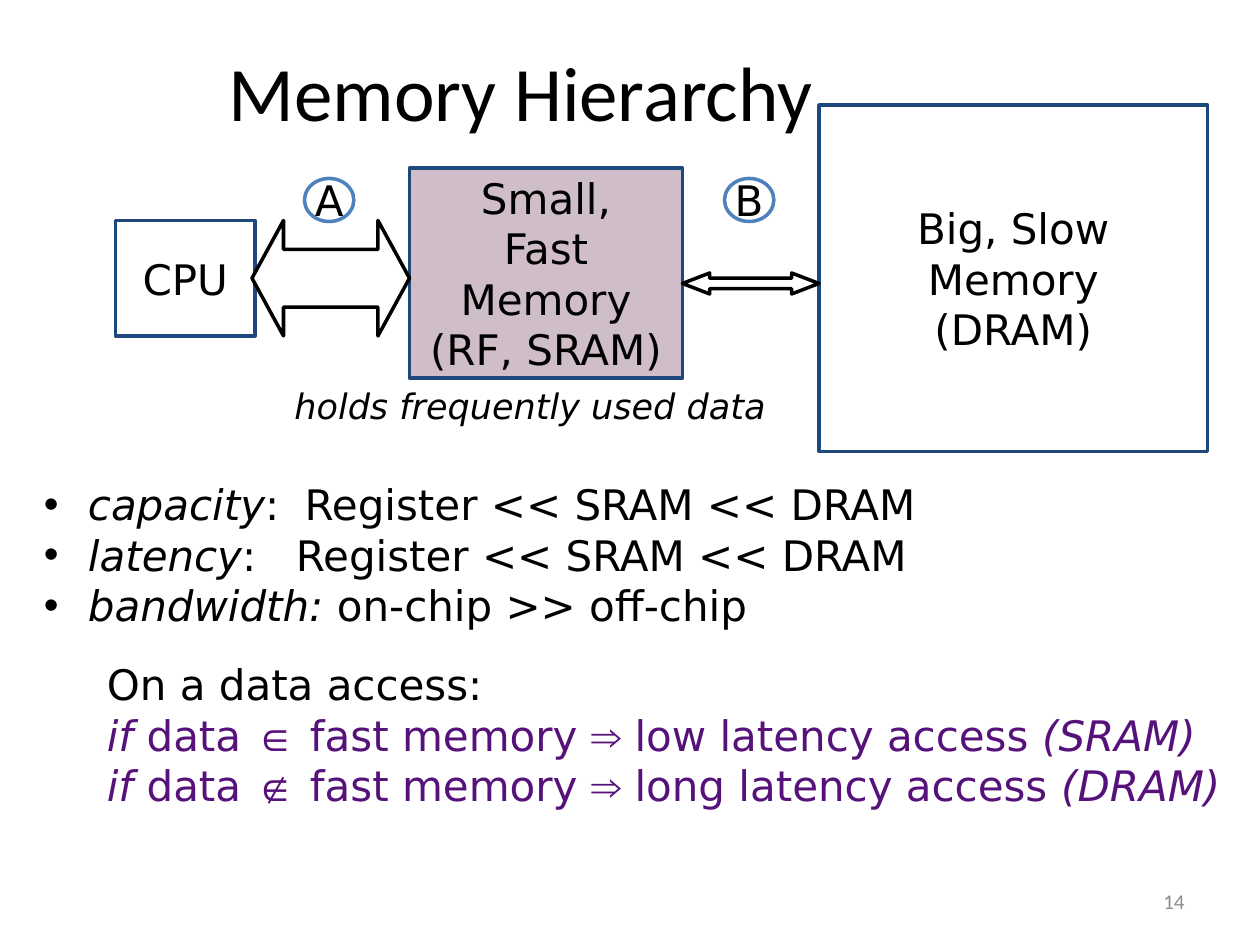
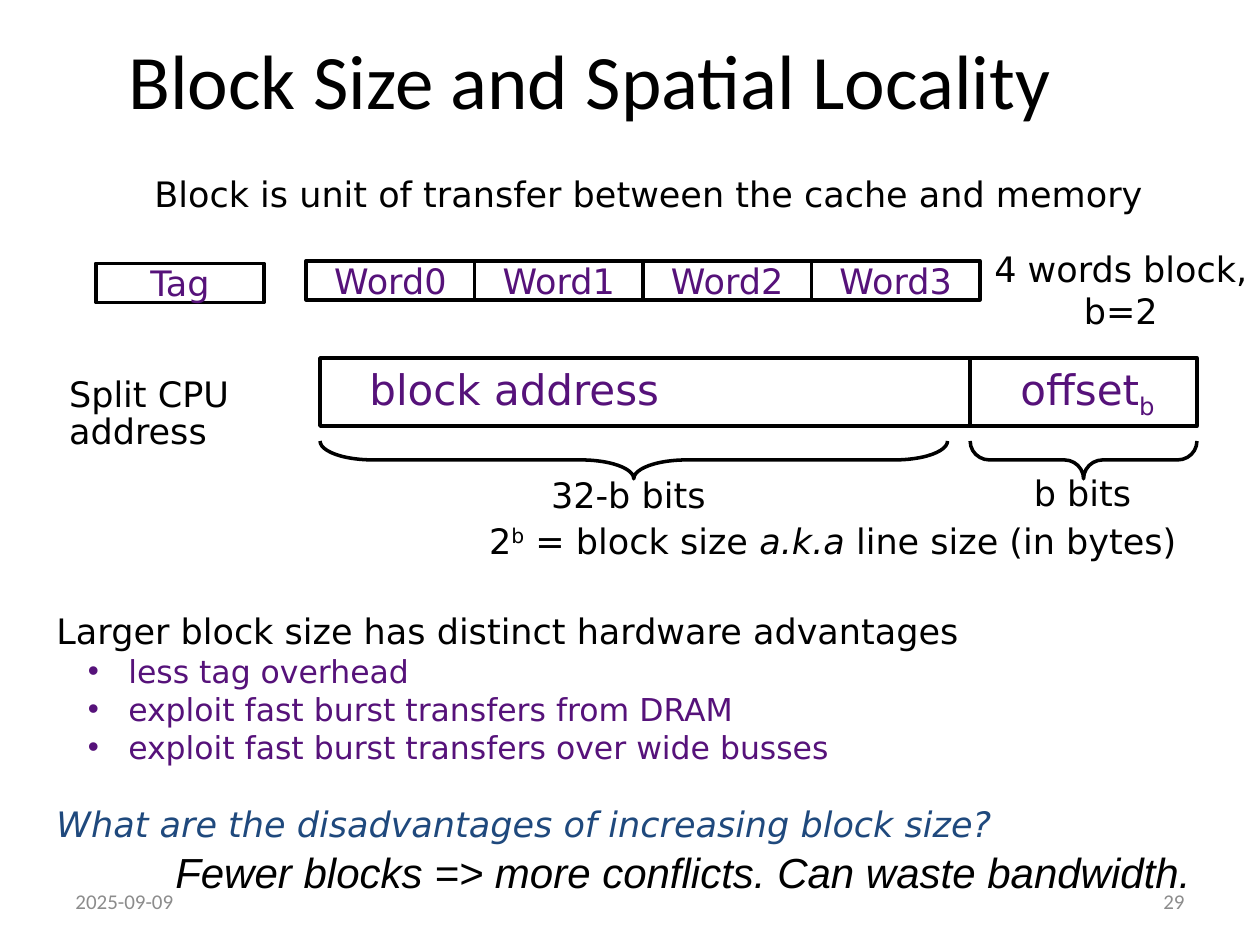
from lxml import etree
from pptx import Presentation
from pptx.dml.color import RGBColor
from pptx.enum import shapes, text
from pptx.oxml import ns
from pptx.util import Inches, Pt

COLORS = {
    "black": "000000", "white": "FFFFFF", "navy": "1F497D", "blue": "4F81BD",
    "purple": "56127A", "mauve": "CFBDC8", "gray": "8C8C8C",
}
SHAPE = shapes.MSO_SHAPE
ALIGN = text.PP_ALIGN
ANCHOR = text.MSO_ANCHOR
SLIDE_WIDTH, SLIDE_HEIGHT = 10, 7.5
COLUMNS = 120
CELL = SLIDE_WIDTH / COLUMNS

TITLE = {"size": 44, "name": "Calibri"}
FOOTER = {"size": 12, "name": "Calibri", "color": "gray"}
LARGE = {"size": 24, "name": "DejaVu Sans"}
MEDIUM = {"size": 20, "name": "DejaVu Sans"}
ITALIC = {"italic": True}
MATH = {"name": "Arial"}
PURPLE = {"color": "purple"}
LARGE_BULLET = {"bullet": (4.2, -4.2)}
SMALL_BULLET = {"bullet": (6.84, -3.84)}
INDENT = {"margin": 6}

FOOTER_AT = {"date": (6, 83.4, 28, 4.8), "number": (86, 83.4, 28, 4.8)}

MEMORY_BOXES = [
    ((39, 16, 26, 20), ["Small,", "Fast Memory", "(RF, SRAM)"], "mauve"),
    ((11, 21, 13.3, 11), ["CPU"], "white"),
    ((78, 10, 37, 33), ["Big, Slow Memory", "(DRAM)"], "white"),
]
LINK_LABELS = [("A", 29), ("B", 69)]
LINK_ARROWS = [((65, 26, 13, 2), (0.5, 1.3)), ((24, 21, 15, 11), (0.5, 0.273))]


def access_rule(symbol, latency, memory):
    return [("if ", ITALIC), "data ", (symbol, MATH), " fast memory ",
            ("⇒", MATH), f" {latency} latency access ", (f"({memory})", ITALIC)]


MEMORY_NOTES = [
    ([("capacity", ITALIC), ":\tRegister << SRAM << DRAM"], {**LARGE_BULLET, "tab": 24.84}),
    ([("latency", ITALIC), ":\tRegister << SRAM << DRAM"], {**LARGE_BULLET, "tab": 24}),
    ([("bandwidth: ", ITALIC), "on-chip >> off-chip"], LARGE_BULLET),
    (["On a data access:"], {**INDENT, "space_before": 16.5}),
    (access_rule("∈", "low", "SRAM"), {**INDENT, "font": PURPLE}),
    (access_rule("∉", "long", "DRAM"), {**INDENT, "font": PURPLE}),
]

WORDS = ["Word0", "Word1", "Word2", "Word3"]
WORD_WIDTH, WORD_HEIGHT = 16.04, 3.72
WORDS_LEFT, WORDS_TOP = 29.16, 24.84
TAG_AT = (9.12, 25.08, WORD_WIDTH, WORD_HEIGHT)
ADDRESS_LEFT, ADDRESS_SPLIT, ADDRESS_RIGHT = 30.48, 92.4, 114
ADDRESS_TOP, ADDRESS_HEIGHT = 34.1, 6.48
ADDRESS_TEXTS = [
    ((34, 34, 40, 6), ["block address"]),
    ((96, 34, 17, 6), ["offset", ("b", {"baseline": -25})]),
]
BRACE_TOP, BRACE_DEPTH = 42, 3.6
BRACES = [
    (ADDRESS_SPLIT, ADDRESS_RIGHT, (0.507, 0.5)),
    (ADDRESS_LEFT, 90.24, (1.399, 0.5)),
]
CENTERED_NOTES = [
    ((5.5, 15.84, 112.6, 5.3), "Block is unit of transfer between the cache and memory", True),
    ((93.5, 23, 26.5, 9.4), "4 words block, b=2", True),
    ((97.2, 44.3, 11.8, 5.3), "b bits", False),
    ((51.1, 44.5, 17.5, 5.3), "32-b bits", False),
]
BLOCK_SIZE = ["2", ("b", {"baseline": 30}), " = block size ",
              ("a.k.a", ITALIC), " line size (in bytes)"]
ADVANTAGES = ["less tag overhead", "exploit fast burst transfers from DRAM",
              "exploit fast burst transfers over wide busses"]
BLOCK_NOTES = [
    (["Larger block size has distinct hardware advantages"], {}),
    *[([item], {**SMALL_BULLET, "font": {"size": 18, **PURPLE}}) for item in ADVANTAGES],
    (["What are the disadvantages of increasing block size?"],
     {"space_before": 21, "font": {"color": "navy", **ITALIC}}),
]


def cells(*lengths):
    return [Inches(length * CELL) for length in lengths]


def rgb(name):
    return RGBColor.from_string(COLORS[name])


def format_font(font, style):
    values = {"color": "black", **style}
    font.color.rgb = rgb(values.pop("color"))
    font.size = Pt(values.pop("size"))
    for name, value in values.items():
        setattr(font, name, value)


def add_run(paragraph, content, style):
    words, own = content if isinstance(content, tuple) else (content, {})
    values = {**style, **own}
    baseline = values.pop("baseline", None)
    run = paragraph.add_run()
    run.text = words
    format_font(run.font, values)
    if baseline:
        run.font._element.set("baseline", str(baseline * 1000))


def format_paragraph(paragraph, layout):
    properties = paragraph._p.get_or_add_pPr()
    margin, indent = layout.get("bullet", (layout.get("margin", 0), 0))
    for name, value in zip(("marL", "indent"), cells(margin, indent)):
        properties.set(name, str(value))
    if "bullet" in layout:
        etree.SubElement(properties, ns.qn("a:buFont")).set("typeface", "Arial")
        etree.SubElement(properties, ns.qn("a:buChar")).set("char", "•")
    if "tab" in layout:
        tabs = etree.SubElement(properties, ns.qn("a:tabLst"))
        tab = etree.SubElement(tabs, ns.qn("a:tab"))
        tab.set("pos", str(cells(layout["tab"])[0]))
        tab.set("algn", "l")
    if "space_before" in layout:
        paragraph.space_before = Pt(layout["space_before"])


def write(shape, paragraphs, style, align=ALIGN.LEFT, anchor=ANCHOR.TOP,
          wrap=True, line_spacing=None):
    frame = shape.text_frame
    frame.word_wrap = wrap
    frame.vertical_anchor = anchor
    for index, (runs, layout) in enumerate(paragraphs):
        paragraph = frame.paragraphs[0] if index == 0 else frame.add_paragraph()
        format_paragraph(paragraph, layout)
        paragraph.alignment = align
        if line_spacing:
            paragraph.line_spacing = line_spacing
        for content in runs:
            add_run(paragraph, content, {**style, **layout.get("font", {})})


def add_text(slide, at, paragraphs, style, **options):
    box = slide.shapes.add_textbox(*cells(*at))
    write(box, paragraphs, style, **options)


def add_label(slide, at, words, style, **options):
    add_text(slide, at, [([words], {})], style, **options)


def add_figure(slide, kind, at, fill="white", line="black", adjustments=()):
    shape = slide.shapes.add_shape(kind, *cells(*at))
    shape.shadow.inherit = False
    if fill:
        shape.fill.solid()
        shape.fill.fore_color.rgb = rgb(fill)
    else:
        shape.fill.background()
    if line:
        shape.line.color.rgb = rgb(line)
        shape.line.width = Pt(2)
    else:
        shape.line.fill.background()
    for index, value in enumerate(adjustments):
        shape.adjustments[index] = value
    return shape


def add_box(slide, at, lines, style, kind=SHAPE.RECTANGLE, wrap=False, **look):
    shape = add_figure(slide, kind, at, **look)
    write(shape, [([line], {}) for line in lines], style,
          align=ALIGN.CENTER, anchor=ANCHOR.MIDDLE, wrap=wrap)


def start_slide(presentation, title, title_at, number, date=None):
    slide = presentation.slides.add_slide(presentation.slide_layouts[6])
    if date:
        add_label(slide, FOOTER_AT["date"], date, FOOTER, anchor=ANCHOR.MIDDLE)
    add_label(slide, FOOTER_AT["number"], number, FOOTER,
              align=ALIGN.RIGHT, anchor=ANCHOR.MIDDLE)
    add_label(slide, title_at, title, TITLE, align=ALIGN.CENTER, anchor=ANCHOR.MIDDLE)
    return slide


def build_memory_hierarchy(presentation):
    slide = start_slide(presentation, "Memory Hierarchy", (2.6, 2.6, 94, 12), "14")
    add_text(slide, (3, 45, 115, 33), MEMORY_NOTES, LARGE)
    for at, lines, fill in MEMORY_BOXES:
        add_box(slide, at, lines, LARGE, wrap=len(lines) > 1, fill=fill, line="navy")
    for letter, left in LINK_LABELS:
        add_box(slide, (left, 17, 4.7, 4.1), [letter], LARGE, kind=SHAPE.OVAL, line="blue")
    add_label(slide, (23, 36, 55, 5.2), "holds frequently used data",
              {**MEDIUM, **ITALIC}, align=ALIGN.CENTER)
    for at, adjustments in LINK_ARROWS:
        add_figure(slide, SHAPE.LEFT_RIGHT_ARROW, at, adjustments=adjustments)


def add_address(slide):
    width = ADDRESS_RIGHT - ADDRESS_LEFT
    add_figure(slide, SHAPE.RECTANGLE, (ADDRESS_LEFT, ADDRESS_TOP, width, ADDRESS_HEIGHT))
    divider = slide.shapes.add_connector(
        shapes.MSO_CONNECTOR.STRAIGHT,
        *cells(ADDRESS_SPLIT, ADDRESS_TOP, ADDRESS_SPLIT, ADDRESS_TOP + ADDRESS_HEIGHT))
    divider.line.color.rgb = rgb("black")
    divider.line.width = Pt(2)
    etree.SubElement(divider._element.spPr, ns.qn("a:effectLst"))
    for at, runs in ADDRESS_TEXTS:
        add_text(slide, at, [(runs, {})], {**LARGE, **PURPLE})
    for left, right, adjustments in BRACES:
        span = right - left
        at = ((left + right - BRACE_DEPTH) / 2, BRACE_TOP + (BRACE_DEPTH - span) / 2,
              BRACE_DEPTH, span)
        brace = add_figure(slide, SHAPE.LEFT_BRACE, at, fill=None, adjustments=adjustments)
        brace.rotation = 270


def build_block_size(presentation):
    slide = start_slide(presentation, "Block Size and Spatial Locality",
                        (3.7, 0, 105, 15), "29", "2025-09-09")
    word_style = {**MEDIUM, **PURPLE}
    for index, word in enumerate(WORDS):
        left = WORDS_LEFT + index * WORD_WIDTH
        add_box(slide, (left, WORDS_TOP, WORD_WIDTH, WORD_HEIGHT), [word], word_style)
    add_box(slide, TAG_AT, ["Tag"], word_style)
    notes = add_figure(slide, SHAPE.RECTANGLE, (4.2, 57.5, 111.8, 23.9), line=None)
    write(notes, BLOCK_NOTES, MEDIUM)
    add_address(slide)
    add_text(slide, (45.4, 49.3, 69, 4.8), [(BLOCK_SIZE, {})], MEDIUM, line_spacing=0.9)
    add_label(slide, (5.4, 35.3, 28.7, 8.5), "Split CPU address", MEDIUM, line_spacing=0.9)
    for at, words, wrap in CENTERED_NOTES:
        add_label(slide, at, words, MEDIUM, align=ALIGN.CENTER, wrap=wrap)
    add_label(slide, (14.9, 80, 100.3, 6), "Fewer blocks => more conflicts. Can waste bandwidth.",
              {"size": 24, "name": "Arial", **ITALIC},
              align=ALIGN.CENTER, anchor=ANCHOR.MIDDLE, wrap=False)


def main():
    presentation = Presentation()
    presentation.slide_width = Inches(SLIDE_WIDTH)
    presentation.slide_height = Inches(SLIDE_HEIGHT)
    build_memory_hierarchy(presentation)
    build_block_size(presentation)
    presentation.save("out.pptx")


if __name__ == "__main__":
    main()
